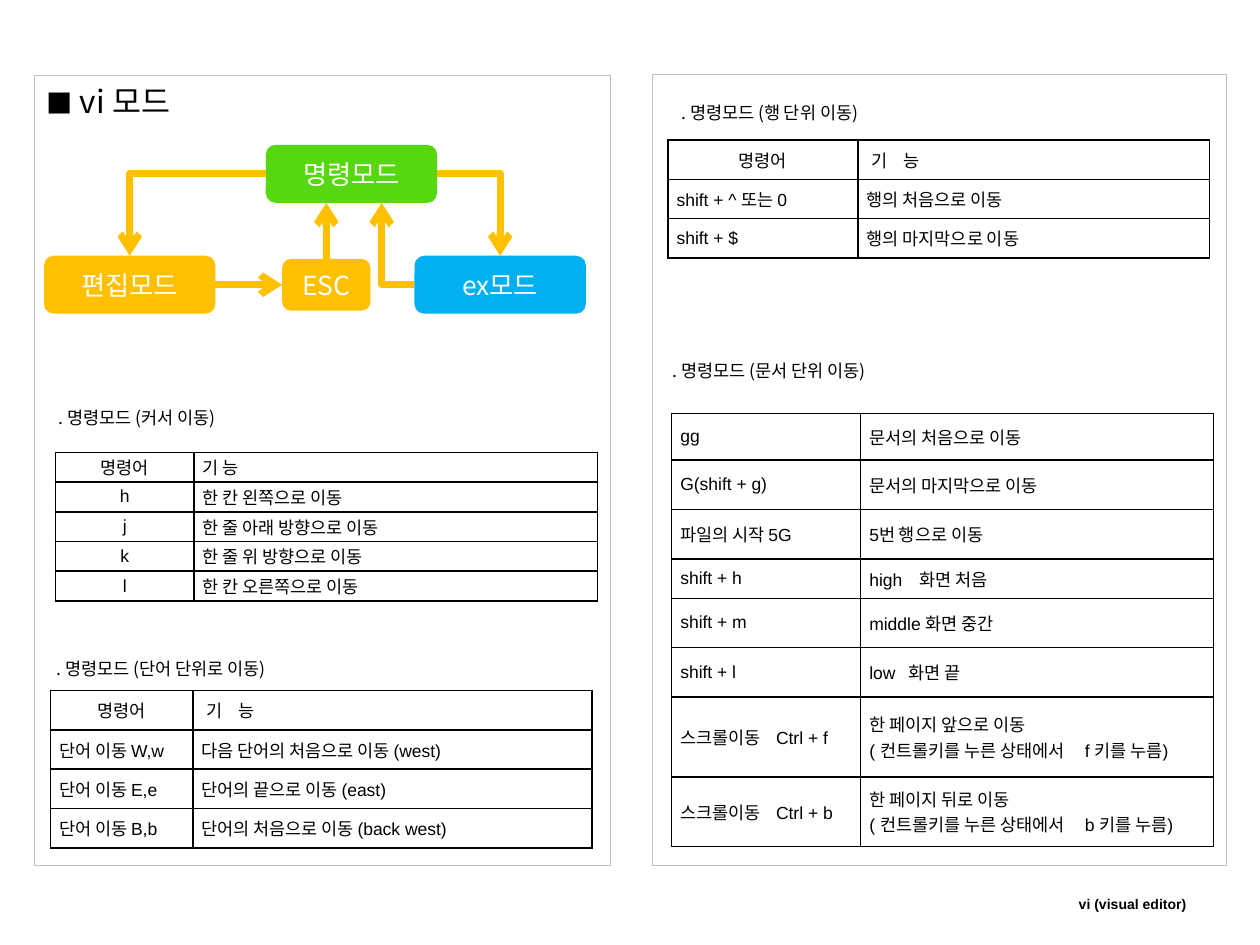
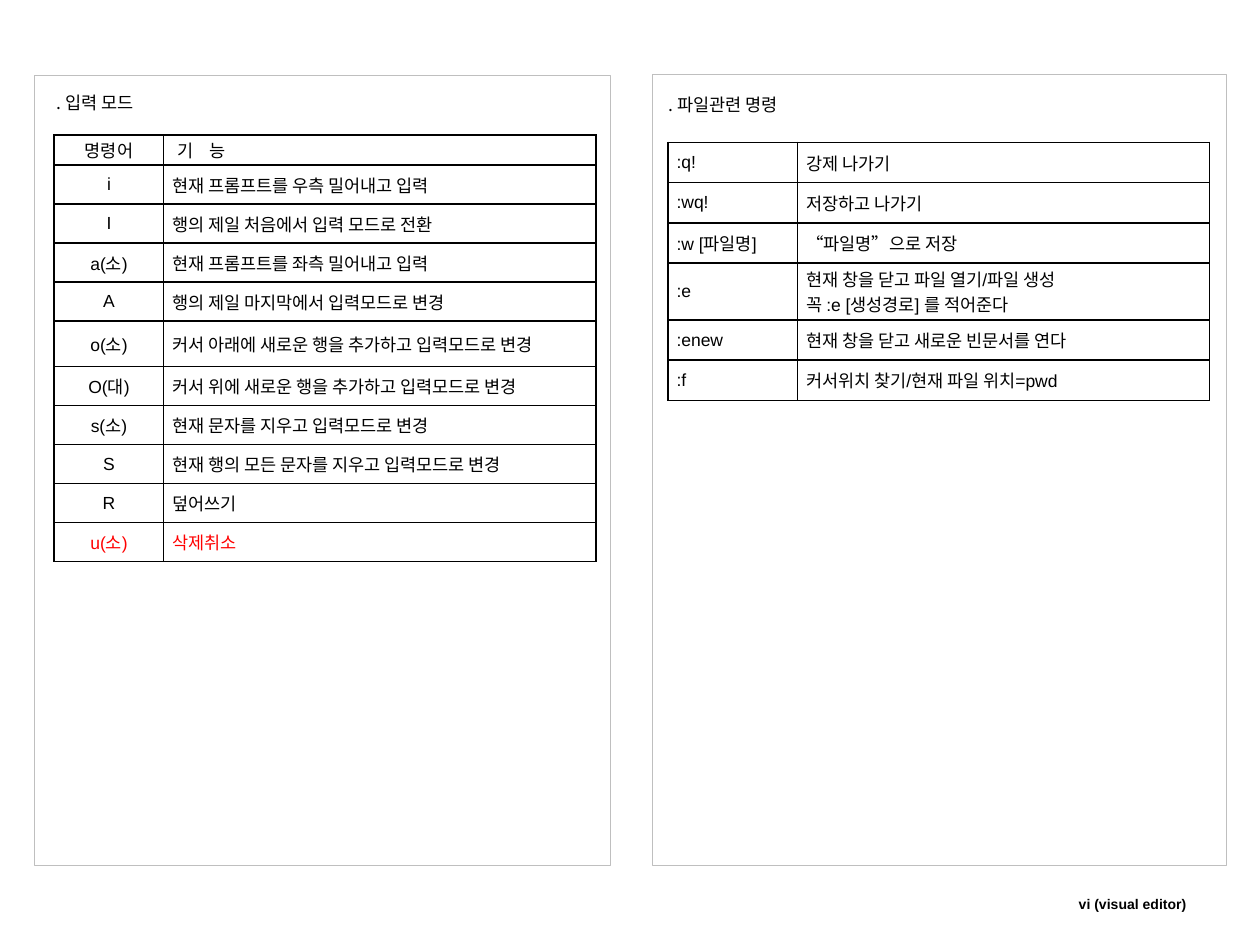
from pptx import Presentation
from pptx.dml.color import RGBColor
from pptx.enum.shapes import MSO_CONNECTOR as Wire, MSO_SHAPE as Form
from pptx.enum.text import MSO_ANCHOR as Anchor, MSO_AUTO_SIZE as Auto, PP_ALIGN as Align
from pptx.oxml.ns import qn
from pptx.util import Inches, Pt
from lxml.etree import SubElement as Sub

WIDE, HIGH = Inches(10), Inches(7.5)
UNIT = WIDE / 100
HUES = {"ink": "000000", "white": "FFFFFF", "edge": "BFBFBF", "green": "56D70F",
        "amber": "FFC000", "blue": "00B0F0", "red": "FF0000"}
SANS, KOREAN = "Arial", "Noto Sans CJK KR"
CELL = {"size": Pt(10), "name": SANS}
NOTE = {"size": Pt(10), "name": KOREAN, "bold": False}
MARK = {"size": Pt(15), "name": KOREAN, "bold": True}
HEAD = {"size": Pt(18), "name": KOREAN, "bold": False}
NODE = {"size": Pt(15), "name": KOREAN}
FOOT = {"size": Pt(8), "name": SANS, "bold": True}
TOP = ("명령어", "기\t능")
STOPS = {"기": 2.5, "스크롤이동": 7.6, "high": 4, "low": 3.1, "( 컨트롤키를 누른 상태에서": 17.1}


def hue(name):
    return RGBColor.from_string(HUES[name])


def grid(*nums):
    return [round(n * UNIT) for n in nums]


def put(item, values):
    for key, value in values.items():
        setattr(item, key, value)


def write(para, text, style, color="ink"):
    run = para.add_run()
    run.text = text
    put(run.font, style)
    run.font.color.rgb = hue(color)
    Sub(run.font._element, qn("a:ea")).set("typeface", KOREAN)


def frame(slide, *box):
    rect = slide.shapes.add_shape(Form.RECTANGLE, *grid(*box))
    rect.shadow.inherit = False
    rect.fill.background()
    rect.line.color.rgb = hue("edge")
    rect.line.width = Pt(0.25)


def base(deck):
    slide = deck.slides.add_slide(deck.slide_layouts[5])
    frame(slide, 2.7, 6, 45.7, 62.7)
    frame(slide, 51.8, 5.9, 45.5, 62.8)
    label(slide, "vi (visual editor)", 84.6, 70.6, 10.6, FOOT, Align.CENTER)
    return slide


def title(slide, runs, *box):
    head = slide.shapes.title
    put(head, dict(zip(("left", "top", "width", "height"), grid(*box))))
    put(head.text_frame, {"vertical_anchor": Anchor.TOP, "auto_size": Auto.NONE})
    para = head.text_frame.paragraphs[0]
    para.alignment = Align.LEFT
    for text, style in runs:
        write(para, text, style)


def label(slide, text, x, y, wide=24, style=NOTE, align=Align.LEFT):
    body = slide.shapes.add_textbox(*grid(x, y, wide, 2.7)).text_frame
    body.word_wrap = True
    para = body.paragraphs[0]
    para.alignment = align
    write(para, text, style)


def edge(cell):
    props = cell._tc.get_or_add_tcPr()
    for side in ("lnL", "lnR", "lnT", "lnB"):
        line = Sub(props, qn("a:" + side), w=str(Pt(1)))
        fill = Sub(line, qn("a:solidFill"))
        Sub(fill, qn("a:srgbClr"), val=HUES["ink"])


def fill(cell, text, align, color):
    put(cell, {"margin_left": Inches(0.07), "margin_right": Inches(0.07), "margin_top": 0,
               "margin_bottom": 0, "vertical_anchor": Anchor.MIDDLE})
    edge(cell)
    cell.fill.background()
    for i, line in enumerate(text.split("\n")):
        body = cell.text_frame
        para = body.add_paragraph() if i else body.paragraphs[0]
        para.alignment = align
        if "\t" in line:
            stop = STOPS[line.split("\t")[0]]
            props = para._p.get_or_add_pPr()
            if line == TOP[1]:
                props.set("marL", str(Inches(0.04)))
            tabs = Sub(props, qn("a:tabLst"))
            Sub(tabs, qn("a:tab"), pos=str(grid(stop)[0]), algn="l")
        write(para, line, CELL, color)


def table(slide, rows, x, y, high, cols, parts=None, mid=False, red=None):
    parts = parts or [1] * len(rows)
    shape = slide.shapes.add_table(len(rows), 2, *grid(x, y, sum(cols), high))
    tab = shape.table
    put(tab, {"first_row": False, "horz_banding": False})
    for col, wide in zip(tab.columns, grid(*cols)):
        col.width = wide
    for r, row in enumerate(rows):
        tab.rows[r].height = grid(high * parts[r] / sum(parts))[0]
        for c, text in enumerate(row):
            center = c == 0 and (mid or row[0] == TOP[0])
            align = Align.CENTER if center else Align.JUSTIFY
            fill(tab.cell(r, c), text, align, "red" if r == red else "ink")


def node(slide, text, color, *box):
    shape = slide.shapes.add_shape(Form.ROUNDED_RECTANGLE, *grid(*box))
    shape.shadow.inherit = False
    shape.fill.solid()
    shape.fill.fore_color.rgb = hue(color)
    shape.line.fill.background()
    body = shape.text_frame
    put(body, {"vertical_anchor": Anchor.MIDDLE, "word_wrap": False})
    body.paragraphs[0].alignment = Align.CENTER
    write(body.paragraphs[0], text, NODE, "white")
    return shape


def arrow(slide, start, end, bent=False, tie=None, to=None):
    kind = Wire.ELBOW if bent else Wire.STRAIGHT
    wire = slide.shapes.add_connector(kind, *grid(*start, *end))
    if tie:
        wire.begin_connect(*tie)
    if to:
        wire.end_connect(*to)
    wire.line.color.rgb = hue("amber")
    wire.line.width = Pt(4)
    props = wire._element.spPr
    if bent:
        props.find(qn("a:prstGeom")).set("prst", "bentConnector2")
    Sub(props.find(qn("a:ln")), qn("a:tailEnd"), type="arrow")
    Sub(props, qn("a:effectLst"))


def modes(slide):
    cmd = node(slide, "명령모드", "green", 21.1, 11.5, 13.6, 4.6)
    edit = node(slide, "편집모드", "amber", 3.5, 20.3, 13.6, 4.6)
    ex = node(slide, "ex모드", "blue", 32.9, 20.3, 13.6, 4.6)
    esc = node(slide, "ESC", "amber", 22.4, 20.55, 7, 4.1)
    arrow(slide, (21.1, 13.8), (10.3, 20.3), True, (cmd, 1), (edit, 0))
    arrow(slide, (34.7, 13.8), (39.7, 20.3), True, (cmd, 3), (ex, 0))
    arrow(slide, (32.9, 22.6), (30.3, 16.1), True)
    arrow(slide, (17.1, 22.6), (22.4, 22.6), False, (edit, 3), (esc, 1))
    arrow(slide, (25.9, 20.55), (25.9, 16.1), False, (esc, 0))


def moves(deck):
    slide = base(deck)
    title(slide, [("■", MARK), (" vi 모드", HEAD)], 2.7, 6, 45.7, 4.5)
    modes(slide)
    label(slide, ". 명령모드 (커서 이동)", 3.7, 31.8)
    table(slide, [("명령어", "기 능"), ("h", "한 칸 왼쪽으로 이동"),
                  ("j", "한 줄 아래 방향으로 이동"), ("k", "한 줄 위 방향으로 이동"),
                  ("l", "한 칸 오른쪽으로 이동")],
          4.4, 35.9, 11.8, (11, 32), mid=True)
    label(slide, ". 명령모드 (단어 단위로 이동)", 3.5, 51.7)
    table(slide, [TOP, ("단어 이동 W,w", "다음 단어의 처음으로 이동 (west)"),
                  ("단어 이동 E,e", "단어의 끝으로 이동 (east)"),
                  ("단어 이동 B,b", "단어의 처음으로 이동 (back west)")],
          4, 54.8, 12.5, (11.3, 31.7))
    label(slide, ". 명령모드 (행 단위 이동)", 53.1, 7.6)
    table(slide, [TOP, ("shift + ^ 또는 0", "행의 처음으로 이동"),
                  ("shift + $", "행의 마지막으로 이동")],
          53, 11.1, 9.4, (15.1, 27.9))
    label(slide, ". 명령모드 (문서 단위 이동)", 52.4, 28.1)
    table(slide, [("gg", "문서의 처음으로 이동"), ("G(shift + g)", "문서의 마지막으로 이동"),
                  ("파일의 시작 5G", "5번 행으로 이동"), ("shift + h", "high\t화면 처음"),
                  ("shift + m", "middle 화면 중간"), ("shift + l", "low\t화면 끝"),
                  ("스크롤이동\tCtrl + f",
                   "한 페이지 앞으로 이동\n( 컨트롤키를 누른 상태에서\tf 키를 누름)"),
                  ("스크롤이동\tCtrl + b",
                   "한 페이지 뒤로 이동\n( 컨트롤키를 누른 상태에서\tb 키를 누름)")],
          53.3, 32.8, 34.4, (15, 28), (37, 39, 39, 31, 39, 39, 63, 55))


def files(deck):
    slide = base(deck)
    title(slide, [(". 입력 모드", NOTE)], 3.5, 6.8, 24, 2.7)
    table(slide, [TOP, ("i", "현재 프롬프트를 우측 밀어내고 입력"),
                  ("I", "행의 제일 처음에서 입력 모드로 전환"),
                  ("a(소)", "현재 프롬프트를 좌측 밀어내고 입력"),
                  ("A", "행의 제일 마지막에서 입력모드로 변경"),
                  ("o(소)", "커서 아래에 새로운 행을 추가하고 입력모드로 변경"),
                  ("O(대)", "커서 위에 새로운 행을 추가하고 입력모드로 변경"),
                  ("s(소)", "현재 문자를 지우고 입력모드로 변경"),
                  ("S", "현재 행의 모든 문자를 지우고 입력모드로 변경"),
                  ("R", "덮어쓰기"), ("u(소)", "삭제취소")],
          4.3, 10.7, 33.9, (8.7, 34.3), [24] + [31] * 4 + [36] + [31] * 5, True, 10)
    label(slide, ". 파일관련 명령", 52.1, 7)
    table(slide, [(":q!", "강제 나가기"), (":wq!", "저장하고 나가기"),
                  (":w [파일명]", "“파일명”으로 저장"),
                  (":e", "현재 창을 닫고 파일 열기/파일 생성\n꼭 :e [생성경로] 를 적어준다"),
                  (":enew", "현재 창을 닫고 새로운 빈문서를 연다"),
                  (":f", "커서위치 찾기/현재 파일 위치=pwd")],
          53, 11.3, 20.5, (10.3, 32.7), (32, 32, 32, 45, 32, 32))


def main():
    deck = Presentation()
    put(deck, {"slide_width": WIDE, "slide_height": HIGH})
    moves(deck)
    files(deck)
    deck.save("out.pptx")


if __name__ == "__main__":
    main()
